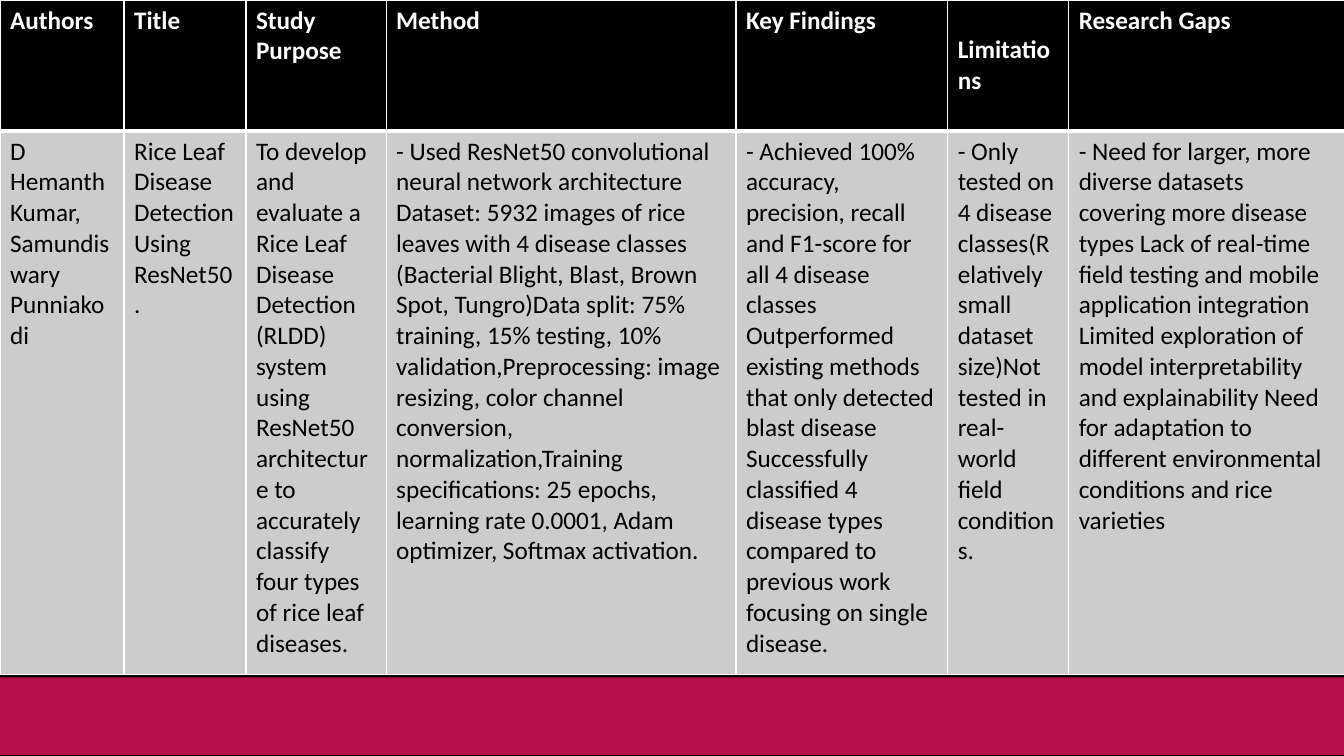
from lxml.etree import SubElement
from pptx import Presentation
from pptx.dml.color import RGBColor
from pptx.enum.shapes import MSO_SHAPE
from pptx.enum.text import MSO_ANCHOR
from pptx.oxml.ns import qn
from pptx.util import Inches, Pt

BLACK = RGBColor(0x00, 0x00, 0x00)
WHITE = RGBColor(0xFF, 0xFF, 0xFF)
GRAY = RGBColor(0xCC, 0xCC, 0xCC)
CRIMSON = RGBColor(0xB6, 0x11, 0x4D)

SLIDE_WIDTH = 13.33
ROW_HEIGHTS = [1.3, 5.39]

# Column width, heading, entry
COLUMNS = [
    (1.23, "Authors", "D Hemanth Kumar, Samundiswary Punniakodi"),
    (1.21, "Title", "Rice Leaf Disease Detection Using ResNet50."),
    (1.39, "Study Purpose",
     "To develop and evaluate a Rice Leaf Disease Detection (RLDD) system using "
     "ResNet50 architecture to accurately classify four types of rice leaf diseases."),
    (3.47, "Method",
     "- Used ResNet50 convolutional neural network architecture Dataset: 5932 images "
     "of rice leaves with 4 disease classes (Bacterial Blight, Blast, Brown Spot, "
     "Tungro)Data split: 75% training, 15% testing, 10% validation,Preprocessing: "
     "image resizing, color channel conversion, normalization,Training "
     "specifications: 25 epochs, learning rate 0.0001, Adam optimizer, Softmax "
     "activation."),
    (2.1, "Key Findings",
     "- Achieved 100% accuracy, precision, recall and F1-score for all 4 disease "
     "classes Outperformed existing methods that only detected blast disease "
     "Successfully classified 4 disease types compared to previous work focusing on "
     "single disease."),
    (1.2, "Limitations",
     "- Only tested on 4 disease classes(Relatively small dataset size)Not tested in "
     "real-world field conditions."),
    (2.74, "Research Gaps",
     "- Need for larger, more diverse datasets covering more disease types Lack of "
     "real-time field testing and mobile application integration Limited exploration "
     "of model interpretability and explainability Need for adaptation to different "
     "environmental conditions and rice varieties"),
]


def add_band(slide, top, height, color):
    """Draw a full-width strip."""
    band = slide.shapes.add_shape(
        MSO_SHAPE.RECTANGLE, 0, Inches(top), Inches(SLIDE_WIDTH), Inches(height))
    band.shadow.inherit = False
    band.fill.solid()
    band.fill.fore_color.rgb = color
    band.line.fill.background()


def set_borders(cell, widths):
    """Give the left, right, top and bottom edges white lines of these widths."""
    properties = cell._tc.get_or_add_tcPr()
    for position, (side, width) in enumerate(zip("LRTB", widths)):
        line = SubElement(properties, qn(f"a:ln{side}"), w=str(Pt(width)))
        fill = SubElement(line, qn("a:solidFill"))
        SubElement(fill, qn("a:srgbClr"), val=str(WHITE))
        properties.insert(position, line)


def fill_cell(cell, text, fill, color, bold, borders):
    cell.fill.solid()
    cell.fill.fore_color.rgb = fill
    set_borders(cell, borders)
    cell.text_frame.text = text
    font = cell.text_frame.paragraphs[0].runs[0].font
    font.name = "Calibri"
    font.size = Pt(18)
    font.bold = bold
    font.color.rgb = color


def add_review_table(slide):
    frame = slide.shapes.add_table(
        len(ROW_HEIGHTS), len(COLUMNS), 0, 0,
        Inches(SLIDE_WIDTH), Inches(sum(ROW_HEIGHTS)))
    table = frame.table
    for row, height in zip(table.rows, ROW_HEIGHTS):
        row.height = Inches(height)
    for index, (width, heading, entry) in enumerate(COLUMNS):
        table.columns[index].width = Inches(width)
        header = table.cell(0, index)
        fill_cell(header, heading, BLACK, WHITE, True, (1, 1, 1, 3))
        if heading == "Limitations":
            header.vertical_anchor = MSO_ANCHOR.MIDDLE
        fill_cell(table.cell(1, index), entry, GRAY, BLACK, False, (1, 1, 3, 1))


def main():
    deck = Presentation()
    deck.slide_width = Inches(SLIDE_WIDTH)
    deck.slide_height = Inches(7.5)
    slide = deck.slides.add_slide(deck.slide_layouts[6])
    add_band(slide, 6.67, 0.83, BLACK)
    add_band(slide, 6.72, 0.77, CRIMSON)
    add_review_table(slide)
    deck.save("out.pptx")


if __name__ == "__main__":
    main()
